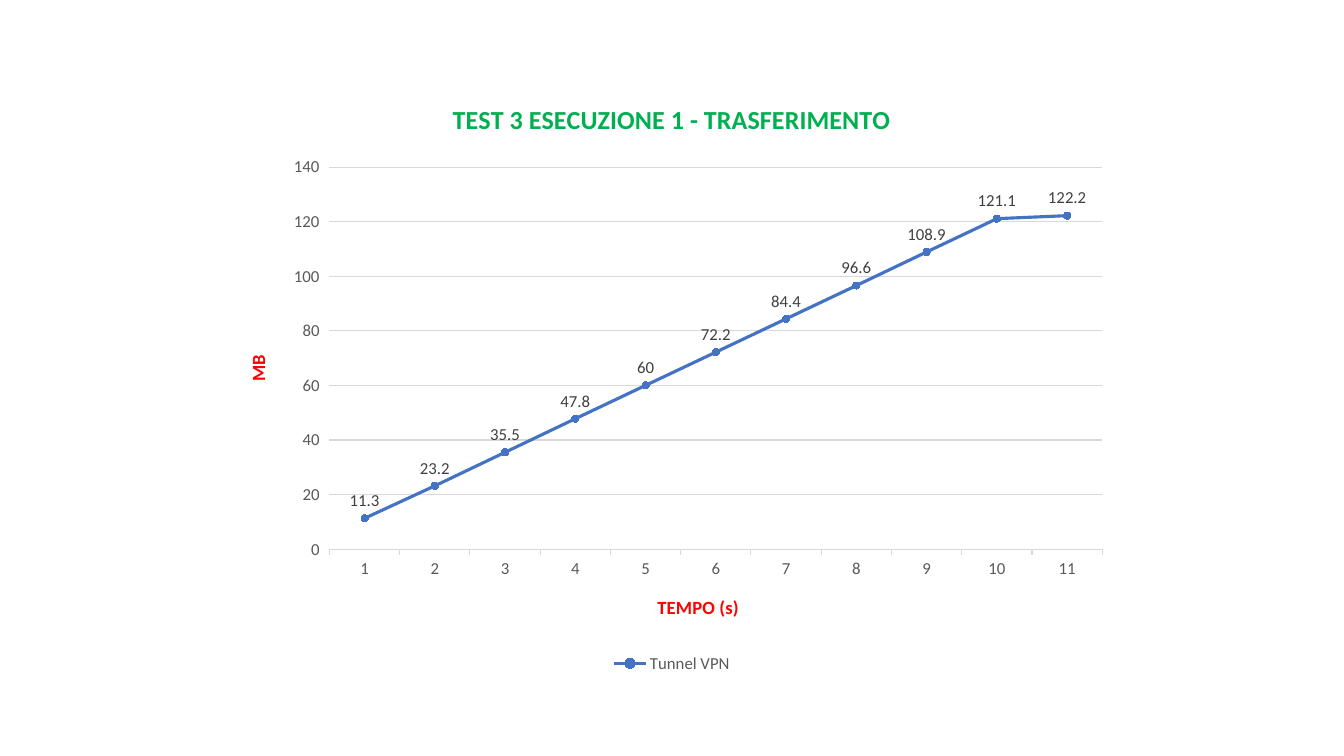
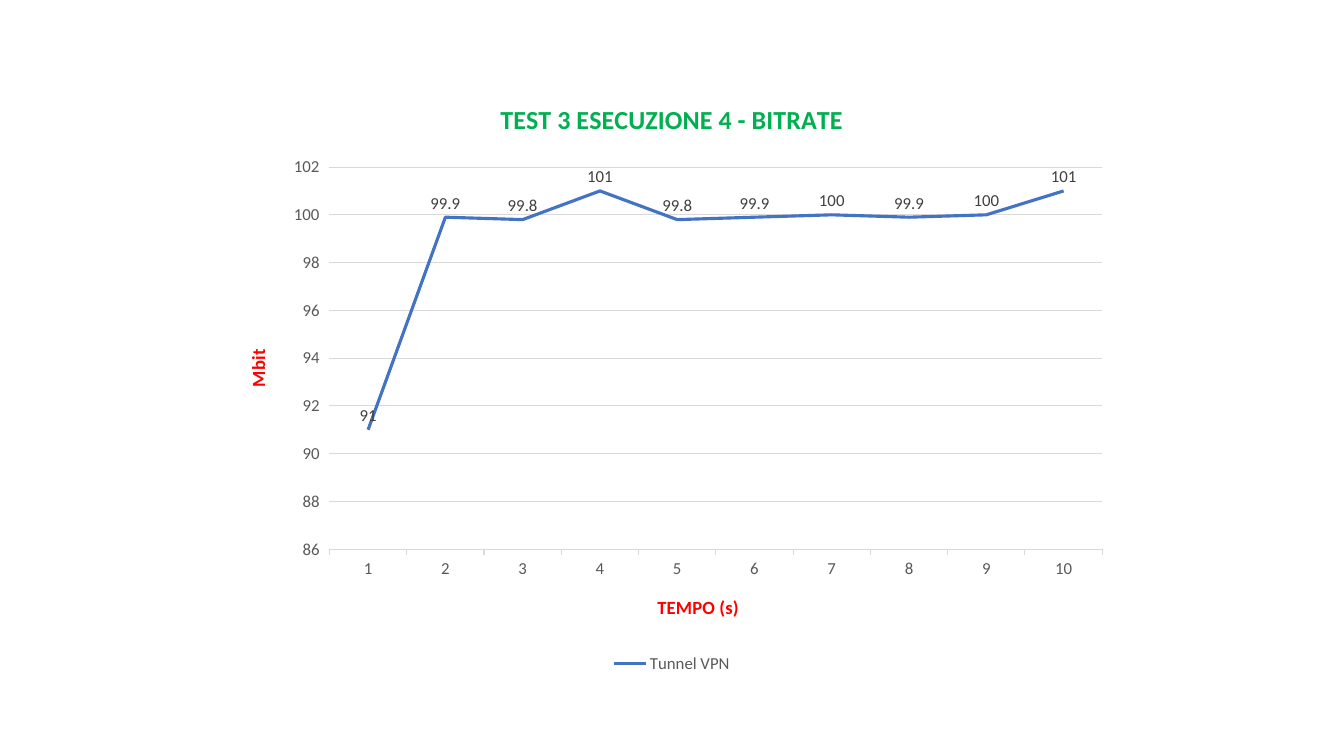
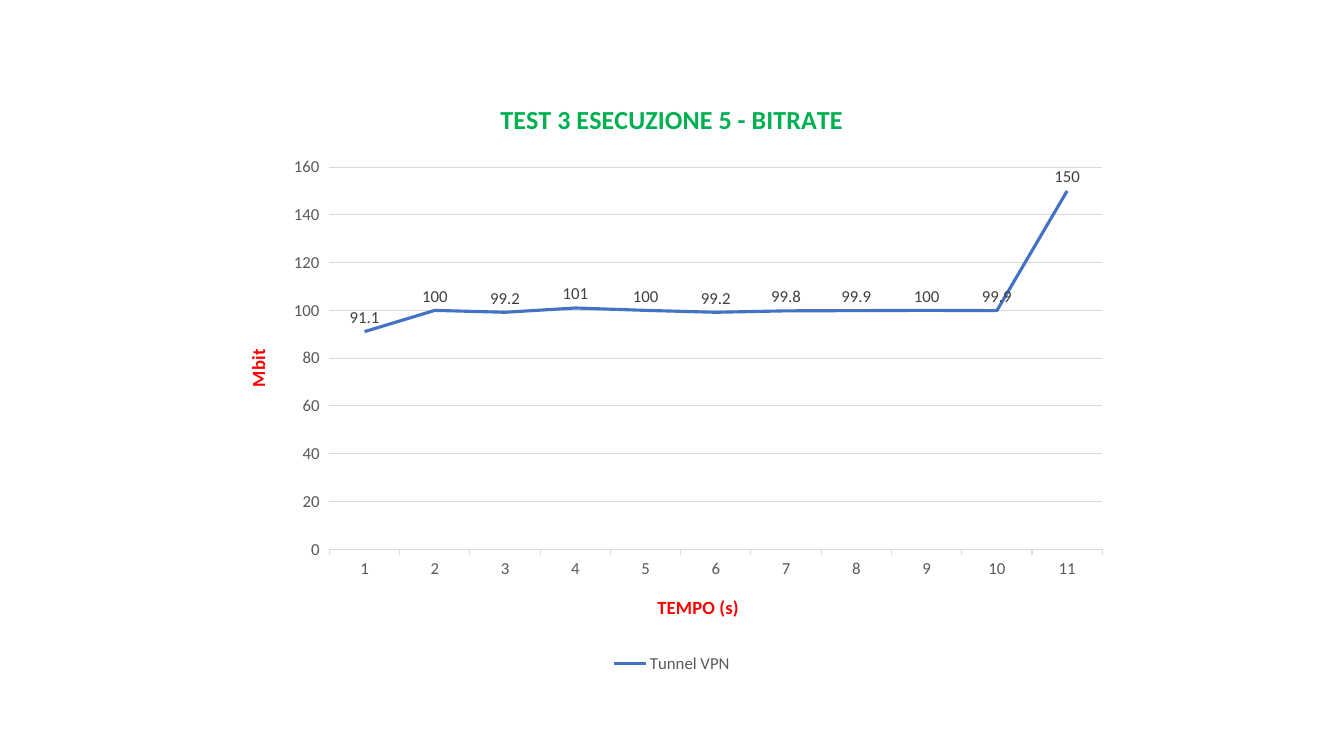
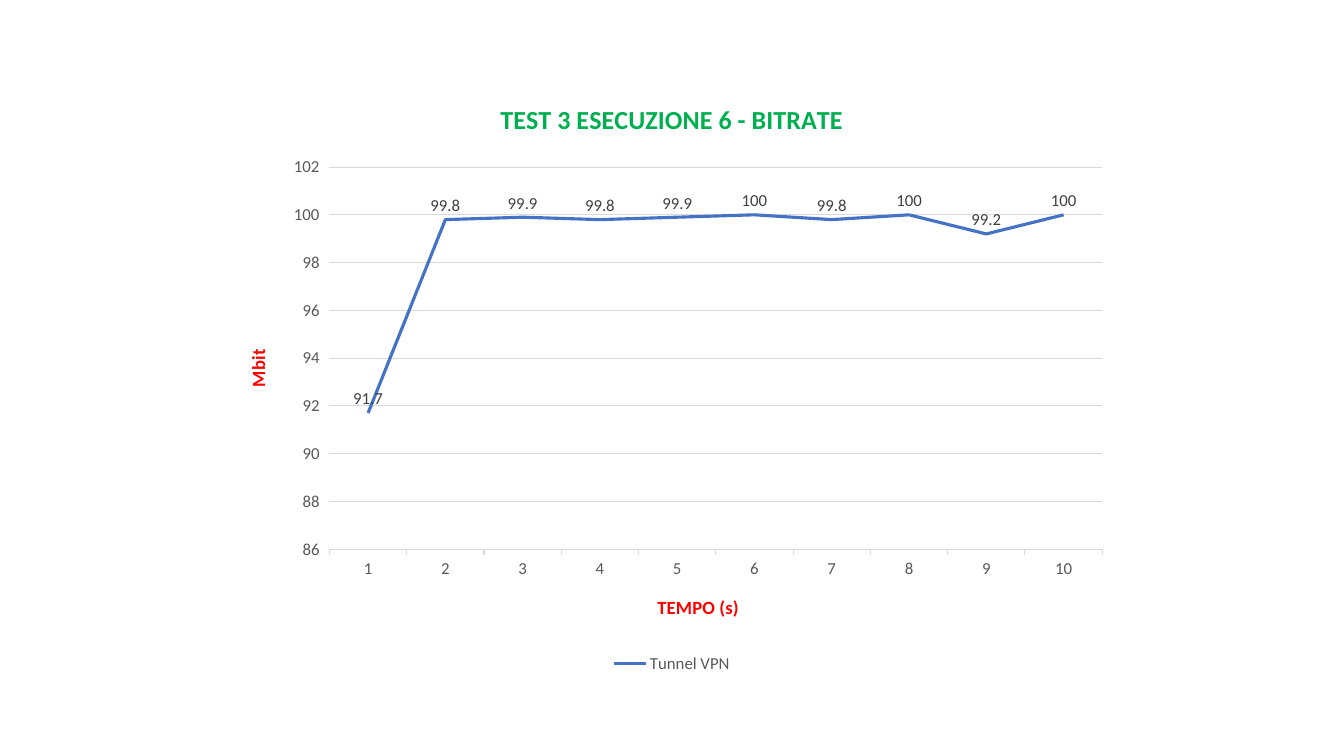
from dataclasses import dataclass

from pptx import Presentation
from pptx.chart.data import CategoryChartData
from pptx.dml.color import RGBColor as RGB
from pptx.enum.chart import XL_CHART_TYPE as ChartType
from pptx.enum.chart import XL_LABEL_POSITION as LabelPosition
from pptx.enum.chart import XL_LEGEND_POSITION as LegendPosition
from pptx.enum.chart import XL_MARKER_STYLE as MarkerStyle
from pptx.enum.chart import XL_TICK_MARK as TickMark
from pptx.oxml.ns import qn
from pptx.util import Inches, Pt


@dataclass(frozen=True)
class Theme:
    font: str = "Calibri"
    title_color: RGB = RGB(0x00, 0xB0, 0x50)
    axis_title_color: RGB = RGB(0xFF, 0x00, 0x00)
    text_color: RGB = RGB(0x59, 0x59, 0x59)
    label_color: RGB = RGB(0x40, 0x40, 0x40)
    grid_color: RGB = RGB(0xD9, 0xD9, 0xD9)
    series_color: RGB = RGB(0x44, 0x72, 0xC4)
    title_size: float = 18.6
    axis_title_size: float = 13.3
    text_size: float = 12
    grid_width: float = 0.75
    series_width: float = 2.25


THEME = Theme()
SERIES_NAME = "Tunnel VPN"
TIME_TITLE = "TEMPO (s)"

# Test runs: title, unit, values per second, whether points are marked
RUNS = [
    ("TEST 3 ESECUZIONE 1 - TRASFERIMENTO", "MB",
     [11.3, 23.2, 35.5, 47.8, 60, 72.2, 84.4, 96.6, 108.9, 121.1, 122.2], True),
    ("TEST 3 ESECUZIONE 4 - BITRATE", "Mbit",
     [91, 99.9, 99.8, 101, 99.8, 99.9, 100, 99.9, 100, 101], False),
    ("TEST 3 ESECUZIONE 5 - BITRATE", "Mbit",
     [91.1, 100, 99.2, 101, 100, 99.2, 99.8, 99.9, 100, 99.9, 150], False),
    ("TEST 3 ESECUZIONE 6 - BITRATE", "Mbit",
     [91.7, 99.8, 99.9, 99.8, 99.9, 100, 99.8, 100, 99.2, 100], False),
]


def style_font(font, size, color, bold=False):
    font.name = THEME.font
    font.size = Pt(size)
    font.bold = bold
    font.color.rgb = color


def style_line(line, color, width):
    line.color.rgb = color
    line.width = Pt(width)


def set_title(title, text, size, color):
    title.text_frame.text = text
    style_font(title.text_frame.paragraphs[0].runs[0].font, size, color, bold=True)


def style_axis(axis, title):
    axis.major_tick_mark = TickMark.OUTSIDE
    axis.minor_tick_mark = TickMark.NONE
    style_font(axis.tick_labels.font, THEME.text_size, THEME.text_color)
    set_title(axis.axis_title, title, THEME.axis_title_size, THEME.axis_title_color)


def style_time_axis(axis):
    style_axis(axis, TIME_TITLE)
    style_line(axis.format.line, THEME.grid_color, THEME.grid_width)


def style_value_axis(axis, unit):
    style_axis(axis, unit)
    axis.format.line.fill.background()
    style_line(axis.major_gridlines.format.line, THEME.grid_color, THEME.grid_width)
    # Turn the unit to read upwards
    body = axis.axis_title.element.find(".//" + qn("a:bodyPr"))
    body.set("rot", "-5400000")
    body.set("vert", "horz")


def style_series(series, marked):
    series.smooth = False
    style_line(series.format.line, THEME.series_color, THEME.series_width)
    if marked:
        series.marker.style = MarkerStyle.CIRCLE
        series.marker.size = 5
        series.marker.format.fill.solid()
        series.marker.format.fill.fore_color.rgb = THEME.series_color
        series.marker.format.line.color.rgb = THEME.series_color
    else:
        series.marker.style = MarkerStyle.NONE
    labels = series.data_labels
    labels.show_value = True
    labels.position = LabelPosition.ABOVE
    style_font(labels.font, THEME.text_size, THEME.label_color)


def add_run_chart(slide, title, unit, values, marked):
    data = CategoryChartData()
    data.categories = [str(second) for second in range(1, len(values) + 1)]
    data.add_series(SERIES_NAME, values)
    kind = ChartType.LINE_MARKERS if marked else ChartType.LINE
    chart = slide.shapes.add_chart(
        kind, Inches(2.22), Inches(0.79), Inches(8.89), Inches(5.93), data).chart
    chart.font.name = THEME.font
    chart.has_title = True
    set_title(chart.chart_title, title, THEME.title_size, THEME.title_color)

    # Axes and line
    style_time_axis(chart.category_axis)
    style_value_axis(chart.value_axis, unit)
    chart.plots[0].vary_by_categories = False
    style_series(chart.plots[0].series[0], marked)

    # Legend
    chart.has_legend = True
    chart.legend.position = LegendPosition.BOTTOM
    chart.legend.include_in_layout = False
    style_font(chart.legend.font, THEME.text_size, THEME.text_color)
    return chart


def main():
    prs = Presentation()
    prs.slide_width, prs.slide_height = Inches(13.33), Inches(7.5)
    blank = prs.slide_layouts[6]
    charts = [add_run_chart(prs.slides.add_slide(blank), *run) for run in RUNS]
    # The transfer total counts up from zero
    charts[0].value_axis.minimum_scale = 0
    prs.save("out.pptx")


if __name__ == "__main__":
    main()
